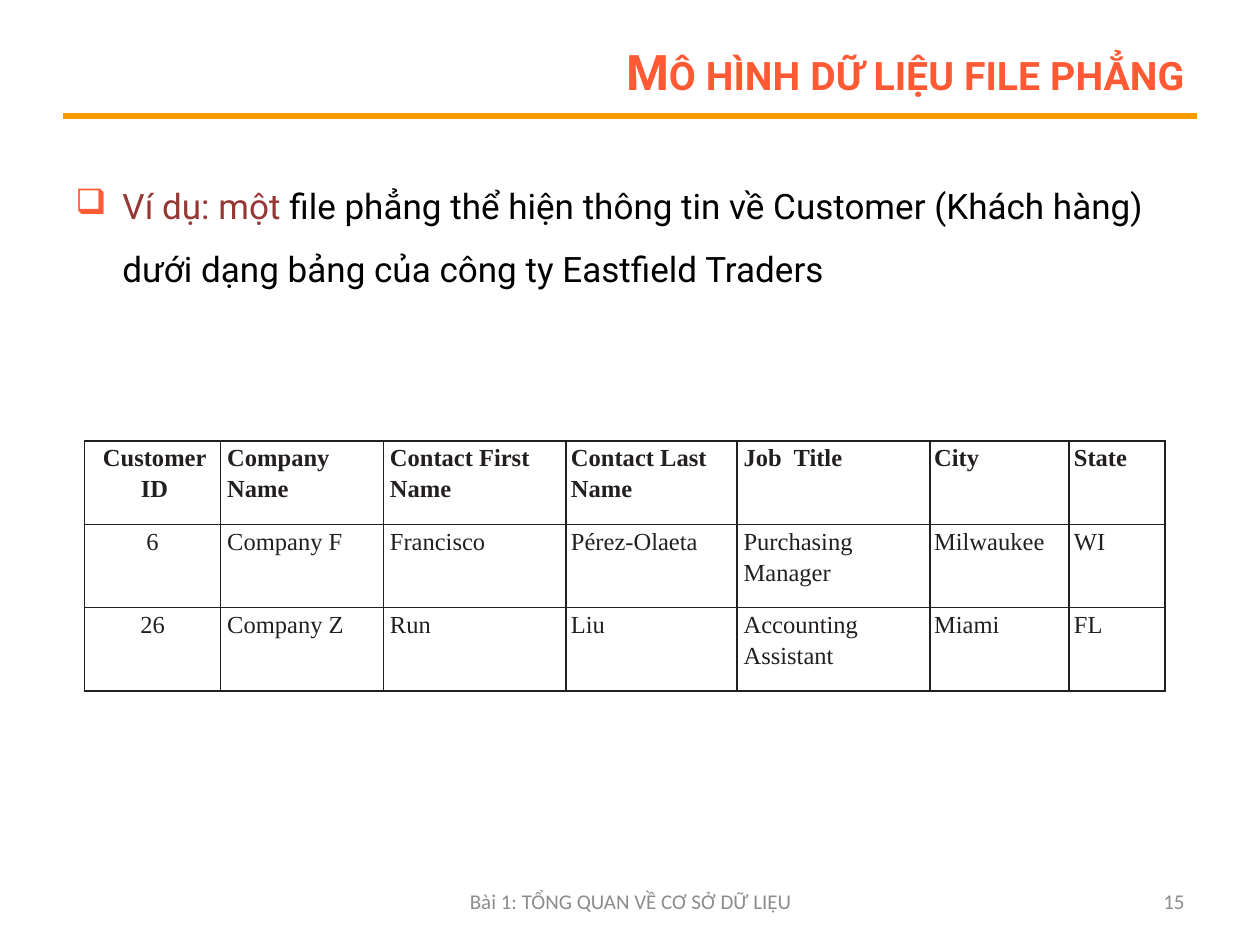
from lxml.etree import SubElement
from pptx import Presentation
from pptx.dml.color import RGBColor
from pptx.enum.shapes import MSO_CONNECTOR
from pptx.enum.text import MSO_ANCHOR, PP_ALIGN
from pptx.oxml.ns import qn
from pptx.util import Cm, Pt

COLORS = {
    "title": "FF5A33",
    "rule": "FF9900",
    "lead": "953735",
    "body": "000000",
    "footer": "8C8C8C",
    "table": "231F20",
}

COLUMN_WIDTHS = [2.75, 3.28, 3.68, 3.45, 3.89, 2.8, 1.94]
COLUMN_INDENTS = [0, 0.13, 0.13, 0.1, 0.13, 0.08, 0.1]
ROW_HEIGHT = 1.68
CUSTOMERS = [
    ["Customer ID", "Company Name", "Contact First Name", "Contact Last Name",
     "Job  Title", "City", "State"],
    ["6", "Company F", "Francisco", "Pérez-Olaeta", "Purchasing Manager",
     "Milwaukee", "WI"],
    ["26", "Company Z", "Run", "Liu", "Accounting Assistant", "Miami", "FL"],
]


def color(name):
    return RGBColor.from_string(COLORS[name])


def add_run(paragraph, text, font_name, size, color_name, bold=False):
    run = paragraph.add_run()
    run.text = text
    run.font.name = font_name
    run.font.size = Pt(size)
    run.font.bold = bold
    run.font.color.rgb = color(color_name)
    return run


def add_text_box(slide, left, top, width, height, align, anchor=MSO_ANCHOR.MIDDLE):
    """Add an empty wrapping text box and return its first paragraph."""
    shape = slide.shapes.add_textbox(Cm(left), Cm(top), Cm(width), Cm(height))
    text_frame = shape.text_frame
    text_frame.word_wrap = True
    text_frame.vertical_anchor = anchor
    paragraph = text_frame.paragraphs[0]
    paragraph.alignment = align
    return paragraph


def add_rule(slide, left, right, top):
    line = slide.shapes.add_connector(
        MSO_CONNECTOR.STRAIGHT, Cm(left), Cm(top), Cm(right), Cm(top))
    line.line.color.rgb = color("rule")
    line.line.width = Pt(3)
    SubElement(line.element.spPr, qn("a:effectLst"))


def set_indent(paragraph, margin, first_line=0):
    properties = paragraph._p.get_or_add_pPr()
    properties.set("marL", str(Cm(margin)))
    properties.set("indent", str(Cm(first_line)))
    return properties


def set_bullet(paragraph, character, color_name, indent):
    properties = set_indent(paragraph, indent, -indent)
    bullet_color = SubElement(properties, qn("a:buClr"))
    SubElement(bullet_color, qn("a:srgbClr"), val=COLORS[color_name])
    SubElement(properties, qn("a:buChar"), char=character)


def set_borders(cell, color_name, width):
    properties = cell._tc.get_or_add_tcPr()
    for position, side in enumerate(("a:lnL", "a:lnR", "a:lnT", "a:lnB")):
        border = properties.makeelement(qn(side), {"w": str(Pt(width))})
        fill = SubElement(border, qn("a:solidFill"))
        SubElement(fill, qn("a:srgbClr"), val=COLORS[color_name])
        properties.insert(position, border)


def fill_cell(cell, text, row, column):
    cell.margin_left = cell.margin_right = cell.margin_top = cell.margin_bottom = 0
    cell.fill.background()
    set_borders(cell, "table", 1)
    is_header = row == 0
    paragraph = cell.text_frame.paragraphs[0]
    paragraph.alignment = PP_ALIGN.CENTER if column == 0 else PP_ALIGN.LEFT
    paragraph.line_spacing = 1.15
    paragraph.space_before = Pt(2.2 - 0.2 * row)
    centered_header = is_header and column == 0
    set_indent(paragraph, 0.08 if centered_header else COLUMN_INDENTS[column])
    add_run(paragraph, text, "Times New Roman", 14, "table", bold=is_header)


def add_customer_table(slide, left, top):
    frame = slide.shapes.add_table(
        len(CUSTOMERS), len(COLUMN_WIDTHS), Cm(left), Cm(top),
        Cm(sum(COLUMN_WIDTHS)), Cm(ROW_HEIGHT * len(CUSTOMERS)))
    table = frame.table
    table.first_row = False
    table.horz_banding = False
    for column, width in zip(table.columns, COLUMN_WIDTHS):
        column.width = Cm(width)
    for row, values in enumerate(CUSTOMERS):
        table.rows[row].height = Cm(ROW_HEIGHT)
        for column, text in enumerate(values):
            fill_cell(table.cell(row, column), text, row, column)


def main():
    presentation = Presentation()
    presentation.slide_width = Cm(25.4)
    presentation.slide_height = Cm(19.05)
    slide = presentation.slides.add_slide(presentation.slide_layouts[6])

    # Title in small capitals above the rule
    add_rule(slide, 1.27, 24.13, 2.34)
    title = add_text_box(slide, 5.72, 0.76, 18.41, 1.35, PP_ALIGN.RIGHT)
    run = add_run(title, "Mô hình dữ liệu file phẳng", "Roboto", 28, "title", bold=True)
    run.font._element.set("cap", "small")

    # Example statement
    body = add_text_box(slide, 1.27, 3.18, 22.86, 4.88, PP_ALIGN.LEFT, MSO_ANCHOR.TOP)
    body.line_spacing = 1.5
    body.space_before = Pt(4)
    set_bullet(body, "❑", "title", 0.95)
    add_run(body, "Ví dụ: một ", "Roboto", 20, "lead")
    add_run(body, "file phẳng thể hiện thông tin về Customer (Khách hàng) "
            "dưới dạng bảng của công ty Eastfield Traders", "Roboto", 20, "body")

    # Flat file records
    add_customer_table(slide, 1.7, 8.89)

    # Footer and slide number
    footer = add_text_box(slide, 8.69, 17.65, 8.05, 1.02, PP_ALIGN.CENTER)
    add_run(footer, "Bài 1: TỔNG QUAN VỀ CƠ SỞ DỮ LIỆU", "Calibri", 12, "footer")
    number = add_text_box(slide, 18.21, 17.65, 5.92, 1.02, PP_ALIGN.RIGHT)
    add_run(number, "15", "Calibri", 12, "footer")

    presentation.save("out.pptx")


if __name__ == "__main__":
    main()
